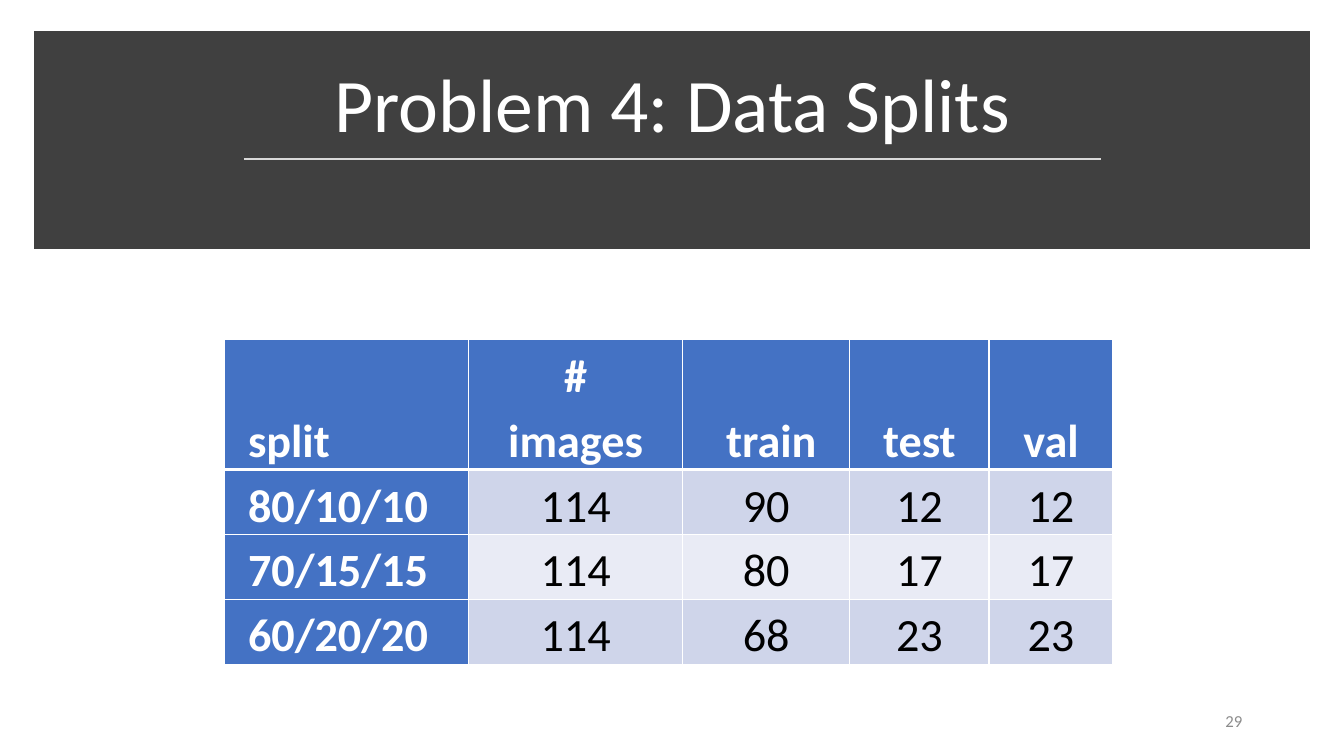
from typing import NamedTuple

from lxml import etree
from pptx import Presentation
from pptx import util as u
from pptx.dml.color import RGBColor
from pptx.enum import shapes, text
from pptx.oxml.ns import qn

FONT = "Calibri"
WHITE, BLACK, CHARCOAL, BLUE = "FFFFFF", "000000", "404040", "4472C4"
BANDS = ("CFD5EA", "E9EBF5")
LEFT, CENTER, RIGHT = text.PP_ALIGN.LEFT, text.PP_ALIGN.CENTER, text.PP_ALIGN.RIGHT
BOTTOM, MIDDLE = text.MSO_ANCHOR.BOTTOM, text.MSO_ANCHOR.MIDDLE


class Label(NamedTuple):
    words: str
    left: float
    top: float
    width: float
    height: float
    size: float
    color: str
    align: text.PP_ALIGN
    anchor: text.MSO_ANCHOR
    spacing: float


LABELS = (
    Label("Problem 4: Data Splits", 0.58, 0.51, 12.18, 1.02, 54, WHITE, CENTER, BOTTOM, 0.9),
    Label("29", 9.42, 6.95, 3, 0.4, 12, "8C8C8C", RIGHT, MIDDLE, 1.0),
)
SPLITS = (
    ("split", "# images", " train", "test", "val"),
    ("80/10/10", "114", "90", "12", "12"),
    ("70/15/15", "114", "80", "17", "17"),
    ("60/20/20", "114", "68", "23", "23"),
)
COLUMN_WIDTHS = (2.42, 2.12, 1.66, 1.38, 1.23)
ROW_HEIGHTS = (1.25, 0.62, 0.62, 0.62)


def rgb(color: str) -> RGBColor:
    return RGBColor.from_string(color)


def style_paragraph(paragraph, size: float, color: str, align, spacing: float,
                    bold: bool = False) -> None:
    paragraph.alignment = align
    paragraph.line_spacing = spacing
    for run in paragraph.runs:
        run.font.name = FONT
        run.font.size = u.Pt(size)
        run.font.bold = bold
        run.font.color.rgb = rgb(color)


def add_label(slide, label: Label) -> None:
    box = slide.shapes.add_textbox(u.Inches(label.left), u.Inches(label.top),
                                   u.Inches(label.width), u.Inches(label.height))
    frame = box.text_frame
    frame.word_wrap = True
    frame.vertical_anchor = label.anchor
    frame.text = label.words
    style_paragraph(frame.paragraphs[0], label.size, label.color, label.align, label.spacing)


def add_border(cell, side: str, points: float) -> None:
    properties = cell._tc.get_or_add_tcPr()
    border = etree.SubElement(properties, qn(f"a:{side}"), w=str(u.Pt(points)))
    fill = etree.SubElement(border, qn("a:solidFill"))
    etree.SubElement(fill, qn("a:srgbClr"), val=WHITE)


def style_cell(cell, words: str, row: int, column: int) -> None:
    heading = row == 0 or column == 0
    # Borders come before the fill in the cell properties
    for side in ("lnL", "lnR", "lnT", "lnB"):
        under_header = (row, side) in ((0, "lnB"), (1, "lnT"))
        add_border(cell, side, 3 if under_header else 1)
    cell.fill.solid()
    cell.fill.fore_color.rgb = rgb(BLUE if heading else BANDS[(row - 1) % 2])
    cell.margin_left = cell.margin_right = u.Inches(0.23)
    cell.margin_top = cell.margin_bottom = 0
    cell.vertical_anchor = BOTTOM
    cell.text_frame.text = words
    style_paragraph(cell.text_frame.paragraphs[0], 33, WHITE if heading else BLACK,
                    CENTER if column else LEFT, 1.15, heading)


def add_splits_table(slide) -> None:
    frame = slide.shapes.add_table(len(SPLITS), len(COLUMN_WIDTHS),
                                   u.Inches(2.23), u.Inches(3.37),
                                   u.Inches(sum(COLUMN_WIDTHS)), u.Inches(sum(ROW_HEIGHTS)))
    table = frame.table
    table.first_col = True
    for column, width in zip(table.columns, COLUMN_WIDTHS):
        column.width = u.Inches(width)
    for row, height in zip(table.rows, ROW_HEIGHTS):
        row.height = u.Inches(height)
    for row, values in enumerate(SPLITS):
        for column, words in enumerate(values):
            style_cell(table.cell(row, column), words, row, column)


def add_banner(slide) -> None:
    banner = slide.shapes.add_shape(shapes.MSO_SHAPE.RECTANGLE, u.Inches(0.41), u.Inches(0.38),
                                    u.Inches(12.51), u.Inches(2.02))
    banner.shadow.inherit = False
    banner.fill.solid()
    banner.fill.fore_color.rgb = rgb(CHARCOAL)
    banner.line.color.rgb = rgb(CHARCOAL)
    banner.line.width = u.Pt(10)
    # Square corners on the thick outline
    etree.SubElement(banner.line._get_or_add_ln(), qn("a:miter"), lim="800000")


def add_title_rule(slide) -> None:
    rule = slide.shapes.add_connector(shapes.MSO_CONNECTOR.STRAIGHT, u.Inches(2.42),
                                      u.Inches(1.58), u.Inches(10.92), u.Inches(1.58))
    rule.line.color.rgb = rgb("D9D9D9")
    rule.line.width = u.Pt(1.75)
    etree.SubElement(rule._element.spPr, qn("a:effectLst"))


def main() -> None:
    deck = Presentation()
    deck.slide_width, deck.slide_height = u.Inches(13.33), u.Inches(7.5)
    slide = deck.slides.add_slide(deck.slide_layouts[6])
    # Banner with its title and rule
    add_banner(slide)
    add_title_rule(slide)
    # Data splits
    add_splits_table(slide)
    # Title and page number
    for label in LABELS:
        add_label(slide, label)
    deck.save("out.pptx")


if __name__ == "__main__":
    main()
